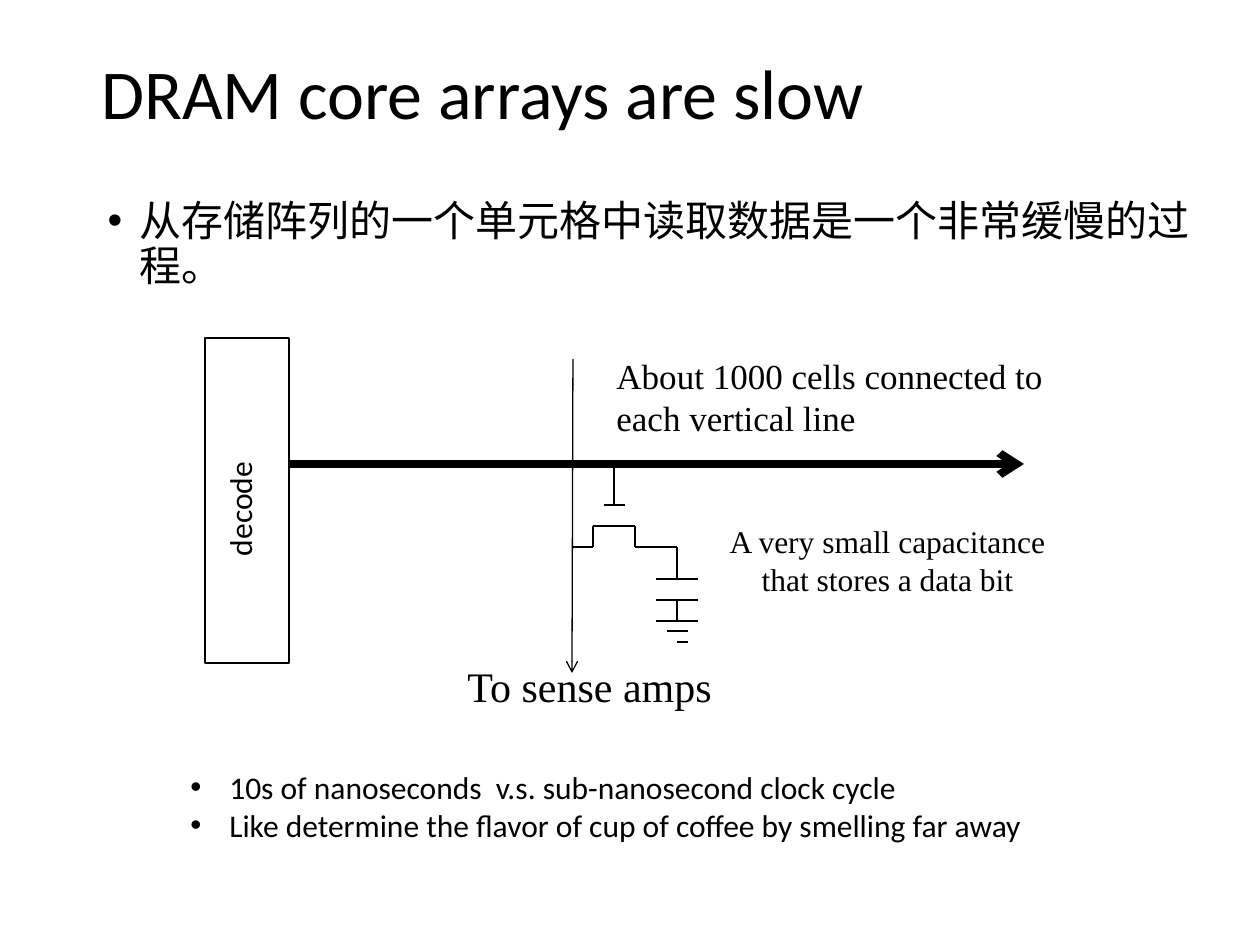
import pptx
import pptx.dml.color
import pptx.enum.shapes
import pptx.enum.text
import pptx.oxml
import pptx.oxml.ns
import pptx.util

PX = 914400 / 126
BLACK = pptx.dml.color.RGBColor(0, 0, 0)
ALIGN = pptx.enum.text.PP_ALIGN
ANCHOR = pptx.enum.text.MSO_ANCHOR
NS = pptx.oxml.ns.nsdecls("a")

deck = pptx.Presentation()
deck.slide_width = pptx.util.Inches(10)
deck.slide_height = pptx.util.Inches(7.5)
slide = deck.slides.add_slide(deck.slide_layouts[1])
shapes = slide.shapes


def write(text, box, size, font="Calibri", shape=None, align=ALIGN.LEFT,
          anchor=ANCHOR.TOP, space=None, level=0, bullet=None):
    """Put text in a placeholder or a new text box; bullet is (margin, hang) in px."""
    x, y, w, h = [round(v * PX) for v in box]
    if shape is None:
        shape = shapes.add_textbox(x, y, w, h)
    shape.left, shape.top, shape.width, shape.height = x, y, w, h
    frame = shape.text_frame
    frame.word_wrap = True
    frame.auto_size = pptx.enum.text.MSO_AUTO_SIZE.NONE
    frame.vertical_anchor = anchor
    frame.text = text
    for para in frame.paragraphs:
        para.alignment = align
        para.level = level
        para.space_before = pptx.util.Pt(0)
        if space:
            para.line_spacing = space
        if bullet:
            props = para._p.get_or_add_pPr()
            props.set("marL", str(round(bullet[0] * PX)))
            props.set("indent", str(round(-bullet[1] * PX)))
            props.append(pptx.oxml.parse_xml(f'<a:buFont {NS} typeface="Arial"/>'))
            props.append(pptx.oxml.parse_xml(f'<a:buChar {NS} char="•"/>'))
        for run in para.runs:
            run.font.size = pptx.util.Pt(size)
            run.font.name = font
            run.font.color.rgb = BLACK
    return shape


def wire(x1, y1, x2, y2, width=0.75, arrow=False):
    ends = [round(v * PX) for v in (x1, y1, x2, y2)]
    link = shapes.add_connector(pptx.enum.shapes.MSO_CONNECTOR.STRAIGHT, *ends)
    link.line.color.rgb = BLACK
    link.line.width = pptx.util.Pt(width)
    if arrow:
        link.line._get_or_add_ln().append(
            pptx.oxml.parse_xml(f'<a:tailEnd {NS} type="arrow"/>'))
    link._element.spPr.append(pptx.oxml.parse_xml(f"<a:effectLst {NS}/>"))


# Title and main point
write("DRAM core arrays are slow", (89, 5, 1086, 183), 40,
      shape=shapes.title, anchor=ANCHOR.MIDDLE, space=0.9)
write("从存储阵列的一个单元格中读取数据是一个非常缓慢的过程。",
      (95, 194, 1144, 142), 24, shape=slide.placeholders[1],
      space=0.9, bullet=(32, 32))

# Decoder
block = shapes.add_shape(pptx.enum.shapes.MSO_SHAPE.RECTANGLE,
                         *[round(v * PX) for v in (205, 338, 84, 325)])
block.shadow.inherit = False
block.fill.background()
block.line.color.rgb = BLACK
block.line.width = pptx.util.Pt(0.75)
name = write("decode", (174, 464, 145, 64), 18)
name.rotation = 270

# Word line and bit line
wire(289, 464, 1024, 464, width=4.5, arrow=True)
wire(573, 359, 572, 673, arrow=True)

# Transistor, capacitor and ground
for ends in [
    (614, 464, 614, 505), (604, 505, 625, 505),    # gate
    (593, 526, 635, 526),                          # channel
    (593, 526, 593, 547), (635, 526, 635, 547),
    (572, 547, 593, 547), (635, 547, 677, 547),    # source and drain
    (677, 547, 677, 579),
    (656, 579, 698, 579), (656, 600, 698, 600),    # plates
    (677, 600, 677, 621),
    (656, 621, 698, 621), (667, 631, 688, 631), (677, 642, 688, 642),
]:
    wire(*ends)

# Labels
SERIF = "Times New Roman"
write("To sense amps", (455, 654, 299, 64), 24, font=SERIF)
write("A very small capacitance that stores a data bit",
      (709, 516, 357, 89), 18, font=SERIF, align=ALIGN.CENTER)
write("About 1000 cells connected to each vertical line",
      (604, 348, 473, 97), 20, font=SERIF)

# Closing points
write("10s of nanoseconds  v.s. sub-nanosecond clock cycle\n"
      "Like determine the flavor of cup of coffee by smelling far away",
      (115, 762, 1043, 89), 18, level=1, bullet=(102, 39))

deck.save("out.pptx")
